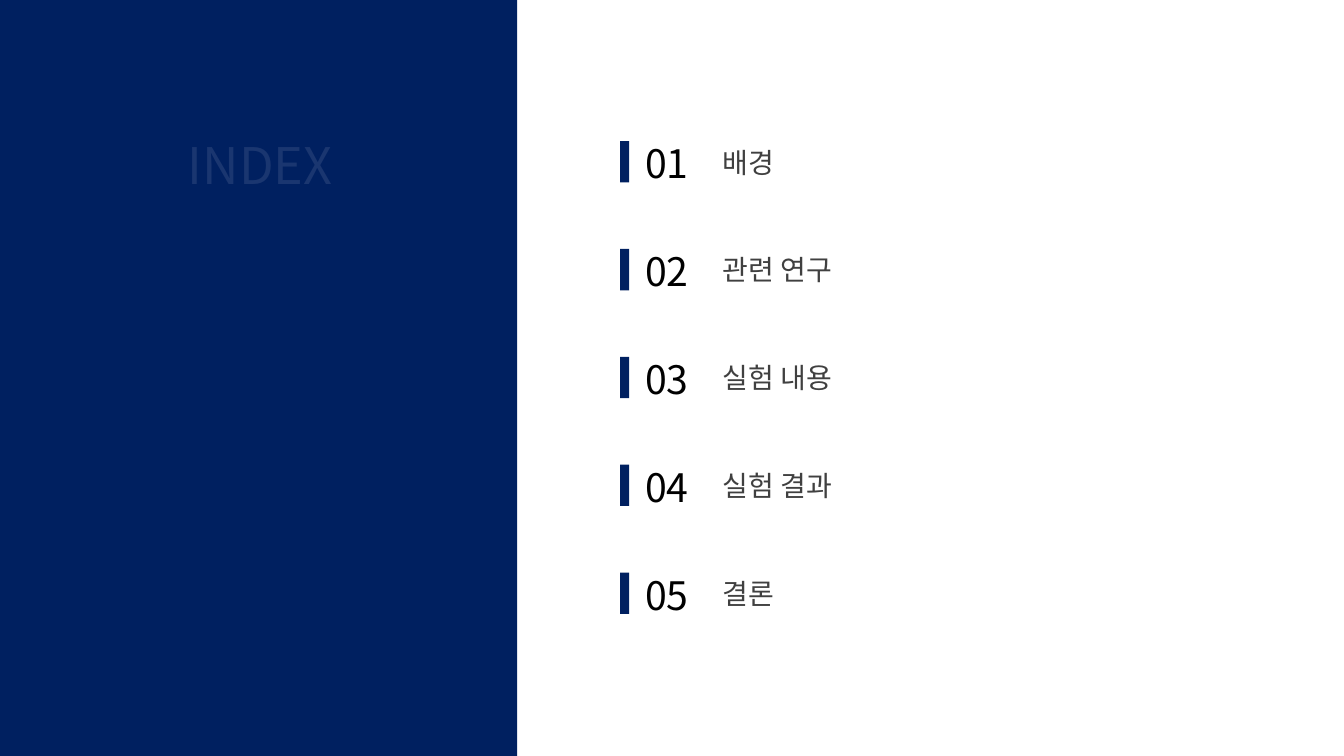
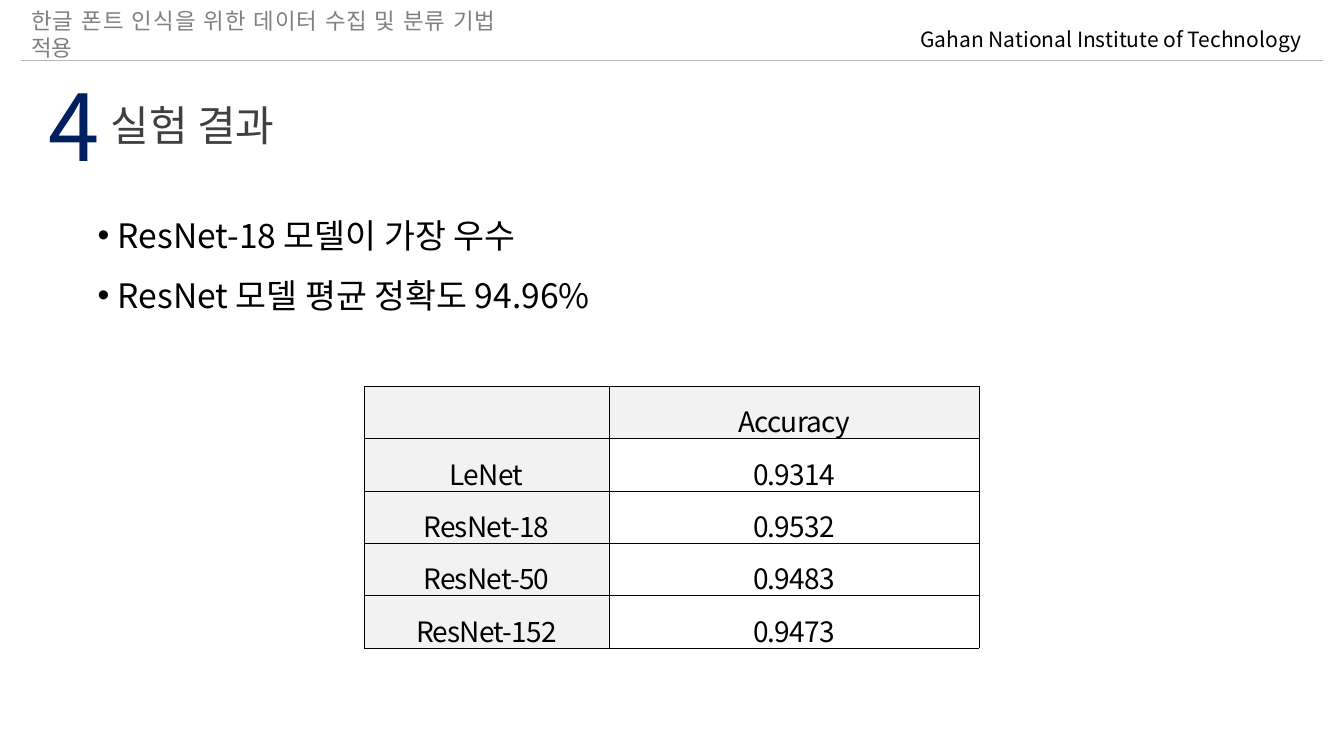
from lxml.etree import SubElement
from pptx import Presentation
from pptx.dml.color import RGBColor
from pptx.enum.shapes import MSO_CONNECTOR as CONNECTOR, MSO_SHAPE as SHAPE
from pptx.enum.text import MSO_ANCHOR as ANCHOR, PP_ALIGN as ALIGN
from pptx.oxml.ns import qn
from pptx.util import Emu, Pt

FONT = "Noto Sans CJK KR"
NAVY = RGBColor(0x00, 0x20, 0x60)
FAINT_NAVY = RGBColor(0x1A, 0x36, 0x70)
BLACK = RGBColor(0x00, 0x00, 0x00)
WHITE = RGBColor(0xFF, 0xFF, 0xFF)
DARK_GRAY = RGBColor(0x40, 0x40, 0x40)
GRAY = RGBColor(0x80, 0x80, 0x80)
RULE_GRAY = RGBColor(0xB8, 0xB8, 0xB8)
LIGHT_GRAY = RGBColor(0xF2, 0xF2, 0xF2)

INDEX_ITEMS = ["배경", "관련 연구", "실험 내용", "실험 결과", "결론"]
INDEX_TOP, INDEX_STEP = 118, 107

PAPER_TITLE = "한글 폰트 인식을 위한 데이터 수집 및 분류 기법 적용"
INSTITUTE = "Gahan National Institute of Technology"
SECTION = 4
FINDINGS = ["ResNet-18 모델이 가장 우수", "ResNet 모델 평균 정확도 94.96%"]
ACCURACY_ROWS = [
    ("", "Accuracy"),
    ("LeNet", "0.9314"),
    ("ResNet-18", "0.9532"),
    ("ResNet-50", "0.9483"),
    ("ResNet-152", "0.9473"),
]
COLUMN_WIDTHS = [243, 367]
ROW_HEIGHT = 52


def px(value):
    return Emu(value * 9144)


def box(*lengths):
    return [px(length) for length in lengths]


def style_paragraph(paragraph, size, color, align, spacing=None):
    paragraph.alignment = align
    if spacing:
        paragraph.line_spacing = spacing
    for run in paragraph.runs:
        run.font.size = Pt(size)
        run.font.name = FONT
        run.font.color.rgb = color
        SubElement(run.font._element, qn("a:ea"), typeface=FONT)


def add_text(shapes, bounds, text, size, color, align=ALIGN.LEFT,
             anchor=ANCHOR.TOP, wrap=True, spacing=None):
    text_frame = shapes.add_textbox(*box(*bounds)).text_frame
    text_frame.word_wrap = wrap
    text_frame.vertical_anchor = anchor
    text_frame.text = text
    for paragraph in text_frame.paragraphs:
        style_paragraph(paragraph, size, color, align, spacing)
    return text_frame


def add_block(shapes, bounds):
    block = shapes.add_shape(SHAPE.RECTANGLE, *box(*bounds))
    block.shadow.inherit = False
    block.fill.solid()
    block.fill.fore_color.rgb = NAVY
    block.line.fill.background()


def add_bullets(text_frame):
    for paragraph in text_frame.paragraphs:
        properties = paragraph._p.get_or_add_pPr()
        properties.set("marL", str(px(20)))
        properties.set("indent", str(px(-20)))
        SubElement(properties, qn("a:buFont"), typeface="Arial")
        SubElement(properties, qn("a:buChar"), char="•")


def add_borders(cell):
    properties = cell._tc.get_or_add_tcPr()
    for position, side in enumerate(("a:lnL", "a:lnR", "a:lnT", "a:lnB")):
        line = properties.makeelement(qn(side), {"w": str(Pt(0.28))})
        fill = SubElement(line, qn("a:solidFill"))
        SubElement(fill, qn("a:srgbClr"), val=str(BLACK))
        properties.insert(position, line)


def add_header(slide):
    rule = slide.shapes.add_connector(
        CONNECTOR.STRAIGHT, *box(1312, 60, 21, 60))
    rule.line.color.rgb = RULE_GRAY
    rule.line.width = Pt(0.75)
    SubElement(rule._element.spPr, qn("a:effectLst"))
    add_text(slide.shapes, (21, 13, 481, 42), PAPER_TITLE, 16, GRAY,
             ALIGN.JUSTIFY, ANCHOR.MIDDLE, wrap=False)
    add_text(slide.shapes, (903, 5, 405, 49), INSTITUTE, 15, BLACK,
             anchor=ANCHOR.MIDDLE, spacing=Pt(31))


def add_accuracy_table(slide):
    table = slide.shapes.add_table(
        len(ACCURACY_ROWS), len(COLUMN_WIDTHS),
        *box(361, 383, sum(COLUMN_WIDTHS), ROW_HEIGHT * len(ACCURACY_ROWS))).table
    table.first_row = table.horz_banding = False
    for column, width in zip(table.columns, COLUMN_WIDTHS):
        column.width = px(width)
    for row_index, values in enumerate(ACCURACY_ROWS):
        table.rows[row_index].height = px(ROW_HEIGHT)
        for column_index, value in enumerate(values):
            cell = table.cell(row_index, column_index)
            is_heading = row_index == 0 or column_index == 0
            cell.margin_left = cell.margin_right = px(7)
            cell.margin_top = cell.margin_bottom = px(2)
            cell.vertical_anchor = ANCHOR.MIDDLE
            cell.fill.solid()
            cell.fill.fore_color.rgb = LIGHT_GRAY if is_heading else WHITE
            add_borders(cell)
            cell.text_frame.text = value
            paragraph = cell.text_frame.paragraphs[0]
            style_paragraph(paragraph, 20, BLACK, ALIGN.CENTER, 1.3)
            for run in paragraph.runs:
                run.font._element.set("spc", "-60")


def build_index(slide):
    add_block(slide.shapes, (0, 0, 513, 750))
    add_text(slide.shapes, (108, 128, 300, 71), "INDEX", 36, FAINT_NAVY,
             ALIGN.CENTER, ANCHOR.MIDDLE)
    for index, item in enumerate(INDEX_ITEMS):
        top = INDEX_TOP + index * INDEX_STEP
        shapes = slide.shapes.add_group_shape().shapes
        add_text(shapes, (707, top + 21, 324, 44), item, 20, DARK_GRAY,
                 ALIGN.JUSTIFY)
        add_text(shapes, (610, top, 103, 78), f"{index + 1:02}", 28, BLACK,
                 ALIGN.CENTER, ANCHOR.MIDDLE, wrap=False, spacing=1.2)
        add_block(shapes, (615, top + 22, 9, 41))


def build_results(slide):
    add_header(slide)
    add_text(slide.shapes, (100, 94, 196, 61), INDEX_ITEMS[SECTION - 1], 30,
             DARK_GRAY)
    add_text(slide.shapes, (38, 64, 45, 98), str(SECTION), 66, NAVY,
             ALIGN.CENTER, wrap=False)
    findings = add_text(slide.shapes, (87, 188, 1158, 484), "\n".join(FINDINGS),
                        24, BLACK, ALIGN.JUSTIFY, spacing=1.5)
    add_bullets(findings)
    add_accuracy_table(slide)


def main():
    presentation = Presentation()
    presentation.slide_width, presentation.slide_height = box(1333, 750)
    blank = presentation.slide_layouts[6]
    for build in (build_index, build_results):
        build(presentation.slides.add_slide(blank))
    presentation.save("out.pptx")


if __name__ == "__main__":
    main()
